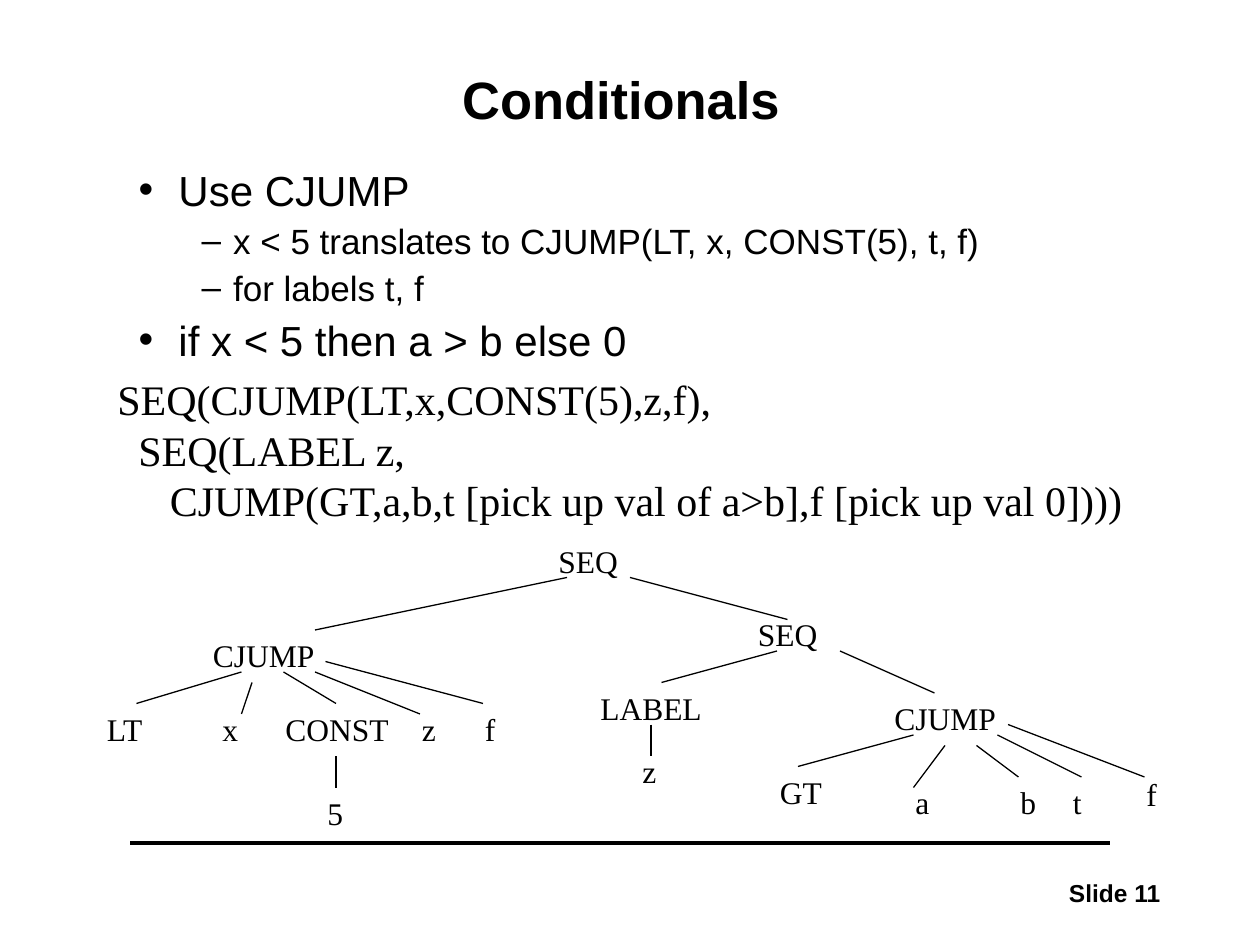
from lxml.etree import SubElement
from pptx import Presentation
from pptx.dml.color import RGBColor
from pptx.enum.shapes import MSO_CONNECTOR
from pptx.enum.text import MSO_ANCHOR, MSO_AUTO_SIZE, PP_ALIGN
from pptx.oxml.ns import qn
from pptx.util import Pt

PX = 7620
BLACK = RGBColor(0, 0, 0)
SANS = "Arial"
SERIF = "Times New Roman"


def write(shape, box, lines, size, name, bold=False, align=PP_ALIGN.LEFT, wrap=False):
    shape.left, shape.top, shape.width, shape.height = [value * PX for value in box]
    frame = shape.text_frame
    frame.text = "\n".join(lines)
    frame.word_wrap = wrap
    frame.auto_size = MSO_AUTO_SIZE.NONE
    for paragraph in frame.paragraphs:
        paragraph.alignment = align
        paragraph.font.size = Pt(size)
        paragraph.font.name = name
        paragraph.font.bold = bold
        paragraph.font.color.rgb = BLACK
    return frame


def draw_line(points, width):
    line = slide.shapes.add_connector(MSO_CONNECTOR.STRAIGHT, *[value * PX for value in points])
    line.line.color.rgb = BLACK
    line.line.width = Pt(width)
    SubElement(line._element.spPr, qn("a:effectLst"))


presentation = Presentation()
presentation.slide_width = 1200 * PX
presentation.slide_height = 900 * PX
slide = presentation.slides.add_slide(presentation.slide_layouts[1])
title, body = slide.placeholders

draw_line((124, 803, 1057, 803), 2)
footer = slide.shapes.add_textbox(0, 0, 0, 0)
write(footer, (917, 830, 200, 40), ["Slide 11"], 14, SANS, True, PP_ALIGN.RIGHT)

title_frame = write(title, (130, 40, 923, 115), ["Conditionals"], 30, SANS, True, PP_ALIGN.CENTER, True)
title_frame.vertical_anchor = MSO_ANCHOR.MIDDLE
title_frame.paragraphs[0].line_spacing = 0.9

bullets = [
    (0, "Use CJUMP"),
    (1, "x < 5 translates to CJUMP(LT, x, CONST(5), t, f)"),
    (1, "for labels t, f"),
    (0, "if x < 5 then a > b else 0"),
]
levels = [(24, 9, 38, 38), (20, 7.5, 90, 30)]
body_frame = write(body, (120, 160, 1080, 598), [text for _, text in bullets], 24, SANS, wrap=True)
for index, (paragraph, (level, _)) in enumerate(zip(body_frame.paragraphs, bullets)):
    size, space, margin, hanging = levels[level]
    paragraph.level = level
    paragraph.line_spacing = 0.8
    paragraph.space_before = Pt(space if index else 0)
    paragraph.font.size = Pt(size)
    properties = paragraph._p.get_or_add_pPr()
    properties.set("marL", str(margin * PX))
    properties.set("indent", str(-hanging * PX))

code = [
    "SEQ(CJUMP(LT,x,CONST(5),z,f),",
    "  SEQ(LABEL z,",
    "     CJUMP(GT,a,b,t [pick up val of a>b],f [pick up val 0])))",
]
write(slide.shapes.add_textbox(0, 0, 0, 0), (100, 350, 984, 156), code, 24, SERIF)

nodes = [
    ("SEQ", 520, 510, 80),
    ("SEQ", 710, 580, 80),
    ("CJUMP", 191, 600, 120),
    ("LT", 90, 670, 60),
    ("x", 200, 670, 38),
    ("CONST", 260, 670, 122),
    ("z", 390, 670, 37),
    ("f", 450, 670, 34),
    ("5", 300, 750, 38),
    ("LABEL", 560, 650, 120),
    ("CJUMP", 840, 660, 120),
    ("z", 600, 710, 37),
    ("GT", 731, 730, 64),
    ("a", 860, 740, 37),
    ("b", 960, 740, 38),
    ("t", 1010, 740, 32),
    ("f", 1080, 732, 34),
]
for text, left, top, width in nodes:
    write(slide.shapes.add_textbox(0, 0, 0, 0), (left, top, width, 48), [text], 18, SERIF)

branches = [
    (540, 550, 300, 600),
    (600, 550, 750, 590),
    (230, 640, 130, 670),
    (240, 650, 230, 680),
    (270, 640, 320, 670),
    (320, 720, 320, 750),
    (300, 640, 400, 680),
    (310, 630, 460, 670),
    (740, 620, 630, 650),
    (620, 690, 620, 720),
    (800, 620, 890, 660),
    (870, 700, 760, 730),
    (900, 710, 870, 750),
    (930, 710, 970, 740),
    (950, 700, 1030, 740),
    (960, 690, 1090, 740),
]
for branch in branches:
    draw_line(branch, 0.75)

presentation.save("out.pptx")
